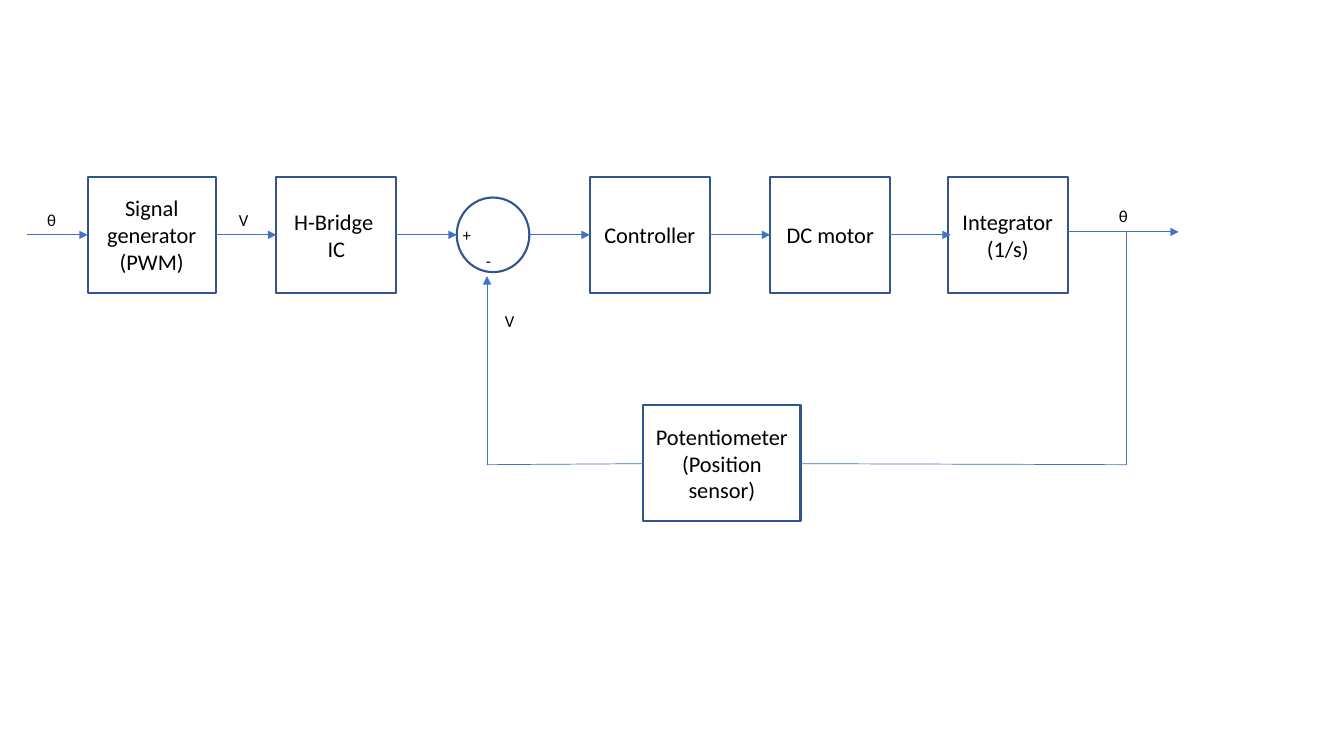
from dataclasses import dataclass
from lxml import etree
from pptx import Presentation
from pptx import util as u
from pptx.dml.color import RGBColor
from pptx.enum import shapes, text
from pptx.oxml.ns import qn


@dataclass(frozen=True)
class Theme:
    font: str = "Calibri"
    ink: RGBColor = RGBColor(0, 0, 0)
    outline: RGBColor = RGBColor(0x32, 0x54, 0x91)
    wire: RGBColor = RGBColor(0x44, 0x72, 0xC4)
    block_size: int = 16
    signal_size: int = 12
    outline_width: float = 1.5
    wire_width: float = 0.5


theme = Theme()
deck = Presentation()
deck.slide_width, deck.slide_height = u.Inches(13.33), u.Inches(7.5)
page = deck.slides.add_slide(deck.slide_layouts[6])

# Grid: ten columns and ten rows to the inch
CELL = u.Inches(0.1)
AXIS, BLOCK_TOP, BLOCK_HEIGHT, GAP = 23.3, 17.55, 11.5, 6
OUTPUT_AXIS, SENSOR_TOP, SENSOR_AXIS, FEEDBACK_AXIS = 23, 40.2, 46, 46.1
SENSOR_LEFT, SENSOR_WIDTH = 63.8, 15.6
SUM_X, BRANCH_X = 48.3, 111.7


def grid(*cells):
    return [round(cell * CELL) for cell in cells]


def write(box, lines, size, align):
    for index, line in enumerate(lines):
        para = box.text_frame.paragraphs[0] if index == 0 else box.text_frame.add_paragraph()
        para.text = line
        para.alignment = align
        para.font.name, para.font.size = theme.font, u.Pt(size)
        para.font.color.rgb = theme.ink


# Blocks: forward chain with equal gaps, then the sensor in the feedback path
rectangle, ellipse = shapes.MSO_SHAPE.RECTANGLE, shapes.MSO_SHAPE.OVAL
stages = [  # outline, width, height, gap before, lines
    (rectangle, 12.7, BLOCK_HEIGHT, GAP, ["Signal generator", "(PWM)"]),
    (rectangle, 11.9, BLOCK_HEIGHT, GAP, ["H-Bridge ", "IC"]),
    (ellipse, 7.2, 7.4, GAP, []),
    (rectangle, 11.9, BLOCK_HEIGHT, GAP, ["Controller"]),
    (rectangle, 11.9, BLOCK_HEIGHT, GAP, ["DC motor"]),
    (rectangle, 11.9, BLOCK_HEIGHT, GAP - 0.3, ["Integrator", "(1/s)"]),
]
blocks = [(rectangle, SENSOR_LEFT, SENSOR_TOP, SENSOR_WIDTH, BLOCK_HEIGHT,
           ["Potentiometer", "(Position sensor)"])]
wires = []  # start x, start y, end x, end y, arrowhead
right = 2.7
for outline, width, height, gap, lines in stages:
    wires.append((right, AXIS, right + GAP, AXIS, True))
    left = right + gap
    blocks.append((outline, left, AXIS - height / 2, width, height, lines))
    right = left + width

for outline, left, top, width, height, lines in blocks:
    box = page.shapes.add_shape(outline, *grid(left, top, width, height))
    box.shadow.inherit = False
    box.fill.background()
    box.line.color.rgb = theme.outline
    box.line.width = u.Pt(theme.outline_width)
    box.text_frame.word_wrap = True
    box.text_frame.vertical_anchor = text.MSO_ANCHOR.MIDDLE
    write(box, lines, theme.block_size, text.PP_ALIGN.CENTER)

# Wires: output and feedback loop
wires += [
    (right, OUTPUT_AXIS, 116.9, OUTPUT_AXIS, True),
    (BRANCH_X, OUTPUT_AXIS, BRANCH_X, FEEDBACK_AXIS, False),
    (SENSOR_LEFT + SENSOR_WIDTH, SENSOR_AXIS, BRANCH_X, FEEDBACK_AXIS, False),
    (SUM_X, FEEDBACK_AXIS, SENSOR_LEFT, SENSOR_AXIS, False),
    (SUM_X, FEEDBACK_AXIS, SUM_X, 27.4, True),
]
for *ends, arrowhead in wires:
    wire = page.shapes.add_connector(shapes.MSO_CONNECTOR.STRAIGHT, *grid(*ends))
    wire.line.color.rgb = theme.wire
    wire.line.width = u.Pt(theme.wire_width)
    if arrowhead:
        etree.SubElement(wire.line._get_or_add_ln(), qn("a:tailEnd"), type="triangle")
    etree.SubElement(wire._element.spPr, qn("a:effectLst"))

# Signal names and summing signs
signals = [("θ", 3.7, 20.3), ("V", 22.7, 20.3), ("+", 44.9, 21.8),
           ("-", 47.2, 24.4), ("V", 49.1, 30.3), ("θ", 110, 19.9)]
for name, left, top in signals:
    box = page.shapes.add_textbox(*grid(left, top, 3.4, 3))
    box.text_frame.word_wrap = True
    write(box, [name], theme.signal_size, text.PP_ALIGN.LEFT)

deck.save("out.pptx")
